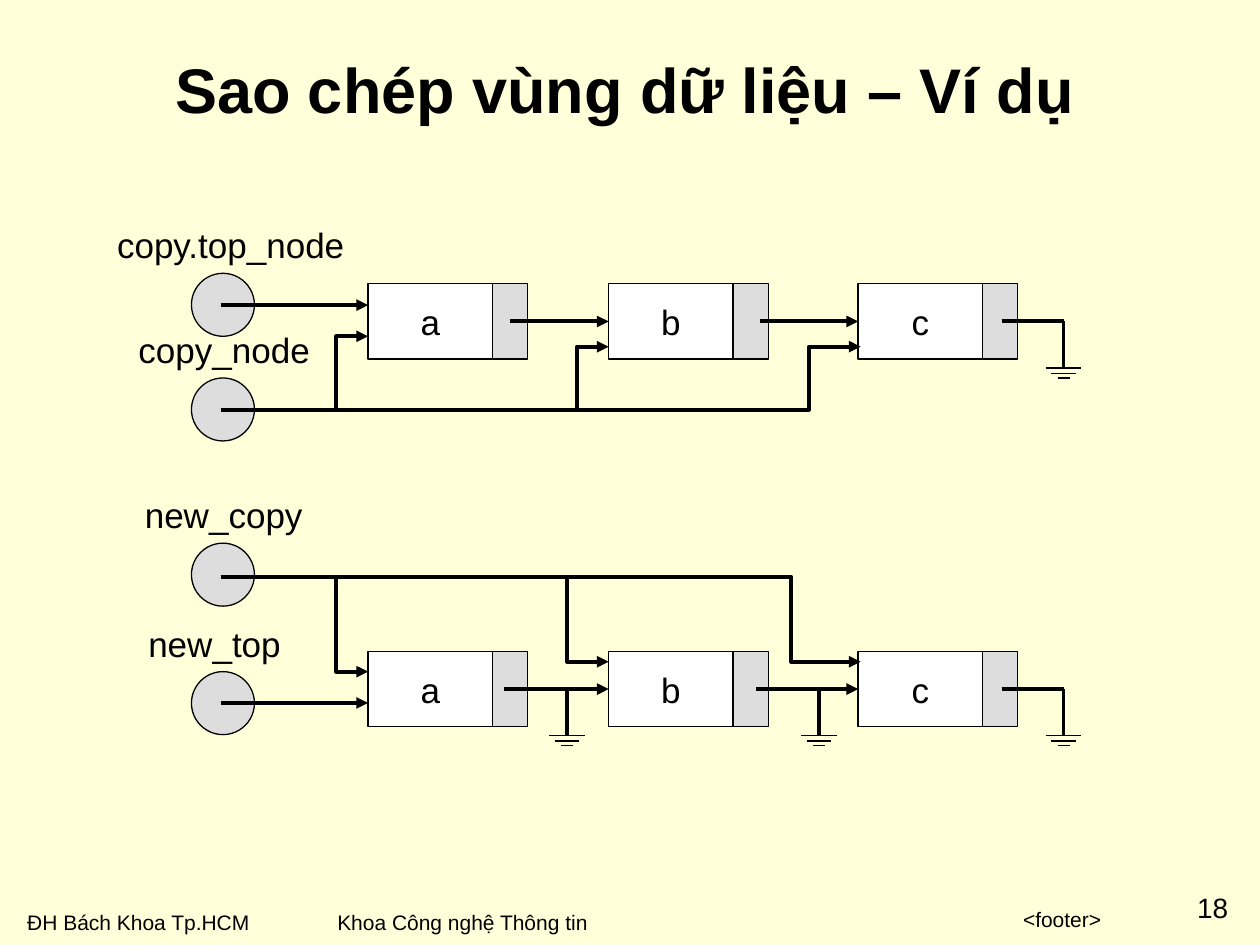
from lxml import etree
from pptx import Presentation
from pptx.dml.color import RGBColor
from pptx.enum.shapes import MSO_CONNECTOR, MSO_SHAPE
from pptx.enum.text import MSO_ANCHOR, PP_ALIGN
from pptx.oxml.ns import qn
from pptx.util import Cm, Pt

RECT, OVAL = MSO_SHAPE.RECTANGLE, MSO_SHAPE.OVAL
STRAIGHT = MSO_CONNECTOR.STRAIGHT
LEFT, CENTER, RIGHT = PP_ALIGN.LEFT, PP_ALIGN.CENTER, PP_ALIGN.RIGHT
TOP, MIDDLE = MSO_ANCHOR.TOP, MSO_ANCHOR.MIDDLE

COLORS = {"background": "FFFFD9", "ink": "000000", "data": "FFFFFF", "link": "DDDDDD"}
THIN, THICK = 0.75, 2.25
DATA_W, LINK_W, NODE_H = 2.51, 0.71, 1.52
CIRCLE, LABEL_H = 1.27, 1.12


def color(name):
    return RGBColor.from_string(COLORS[name])


def write(shape, text, size, align=LEFT, anchor=TOP, bold=False, wrap=False):
    tf = shape.text_frame
    tf.text = text
    tf.word_wrap = wrap
    tf.vertical_anchor = anchor
    p = tf.paragraphs[0]
    p.alignment = align
    font = p.runs[0].font
    font.name, font.size, font.bold = "Arial", Pt(size), bold
    font.color.rgb = color("ink")
    return tf


def add_text(s, left, top, width, height, text, size, **style):
    box = s.shapes.add_textbox(Cm(left), Cm(top), Cm(width), Cm(height))
    return write(box, text, size, **style)


def add_box(s, kind, left, top, width, height, fill):
    sp = s.shapes.add_shape(kind, Cm(left), Cm(top), Cm(width), Cm(height))
    sp.shadow.inherit = False
    sp.fill.solid()
    sp.fill.fore_color.rgb = color(fill)
    set_line(sp, THIN)
    return sp


def set_line(shape, width, arrow=False):
    shape.line.color.rgb = color("ink")
    shape.line.width = Pt(width)
    if arrow:
        ln = shape.line._get_or_add_ln()
        etree.SubElement(ln, qn("a:tailEnd"), type="triangle")


def add_line(s, x1, y1, x2, y2, width=THICK, arrow=False):
    line = s.shapes.add_connector(STRAIGHT, Cm(x1), Cm(y1), Cm(x2), Cm(y2))
    set_line(line, width, arrow)
    etree.SubElement(line._element.spPr, qn("a:effectLst"))
    return line


def ground(s, left, top, width):
    """Draw a lead going right and down to an earth symbol."""
    stem, bottom = left + width, top + 0.94
    add_line(s, left, top, stem, top)
    add_line(s, stem, top, stem, bottom)
    for half, drop in ((0.36, 0), (0.25, 0.11), (0.12, 0.2)):
        add_line(s, stem - half, bottom + drop, stem + half, bottom + drop, THIN)


def node(s, left, top, text):
    data = add_box(s, RECT, left, top, DATA_W, NODE_H, "data")
    write(data, text, 20, align=CENTER, anchor=MIDDLE)
    add_box(s, RECT, left + DATA_W, top, LINK_W, NODE_H, "link")
    return data


def linked_list(s, left, top, grounds):
    """Draw nodes a, b, c with their links; grounds holds (offset, width) pairs."""
    offsets = (0, 4.85, 9.88)
    nodes = [node(s, left + x, top, name) for x, name in zip(offsets, "abc")]
    middle = top + NODE_H / 2
    for start, end, target in zip((2.87, 7.9), offsets[1:], nodes[1:]):
        arrow = add_line(s, left + start, middle, left + end, middle, arrow=True)
        arrow.end_connect(target, 1)
    for offset, width in grounds:
        ground(s, left + offset, middle, width)


def pointer(s, left, top, label, label_dx, label_w):
    add_box(s, OVAL, left, top, CIRCLE, CIRCLE, "link")
    add_text(s, left + label_dx, top - LABEL_H, label_w, LABEL_H, label, 20)


def branches(s, left, top, targets):
    """Draw bent arrows from one start; targets holds (bend x, end x, end y) offsets."""
    for bend, end, dy in targets:
        path = s.shapes.build_freeform(Cm(left), Cm(top))
        path.add_line_segments(
            [(Cm(left + x), Cm(top + y)) for x, y in ((bend, 0), (bend, dy), (end, dy))],
            close=False)
        sp = path.convert_to_shape()
        sp.shadow.inherit = False
        sp.fill.background()
        set_line(sp, THICK, arrow=True)


def source_stack(s, left, top):
    linked_list(s, left + 3.56, top + 0.21, [(12.77, 1.25)])
    pointer(s, left, top, "copy.top_node", -1.75, 5.3)
    pointer(s, left, top + 2.11, "copy_node", -1.32, 4.15)
    add_line(s, left + 0.59, top + 0.64, left + 3.56, top + 0.64, arrow=True)
    branches(s, left + 0.59, top + 2.75,
             [(2.33, 2.97, -1.48), (7.18, 7.82, -1.27), (11.86, 12.9, -1.27)])


def new_stack(s, left, top):
    linked_list(s, left + 3.56, top + 2.18, [(2.74, 1.27), (7.82, 1.27), (12.77, 1.25)])
    pointer(s, left, top, "new_copy", -1.19, 3.9)
    pointer(s, left, top + 2.59, "new_top", -1.12, 3.4)
    add_line(s, left + 0.59, top + 3.22, left + 3.56, top + 3.22, arrow=True)
    branches(s, left + 0.59, top + 0.68,
             [(2.33, 2.97, 1.91), (6.98, 7.82, 1.71), (11.5, 12.9, 1.71)])


def title(s, left, top):
    add_text(s, left, top, 20.52, 3.18, "Sao chép vùng dữ liệu – Ví dụ", 36,
             align=CENTER, anchor=MIDDLE, bold=True, wrap=True)


def footer(s, left, top):
    add_text(s, left, top + 0.25, 5.2, 0.76, "ĐH Bách Khoa Tp.HCM", 12)
    add_text(s, left + 6.25, top + 0.25, 5.75, 0.76, "Khoa Công nghệ Thông tin", 12)
    add_text(s, left + 7.75, top + 0.2, 14.4, 0.76, "<footer>", 12, align=RIGHT, wrap=True)
    tf = add_text(s, left + 23.6, top, 1.09, 0.69, "18", 16, align=CENTER, wrap=True)
    tf.margin_left = tf.margin_right = tf.margin_top = tf.margin_bottom = 0


def main():
    prs = Presentation()
    prs.slide_width, prs.slide_height = Cm(25.4), Cm(19.05)
    s = prs.slides.add_slide(prs.slide_layouts[6])
    s.background.fill.solid()
    s.background.fill.fore_color.rgb = color("background")
    title(s, 2.34, 0.2)
    source_stack(s, 3.86, 5.51)
    new_stack(s, 3.86, 10.95)
    footer(s, 0.3, 17.96)
    prs.save("out.pptx")


if __name__ == "__main__":
    main()
